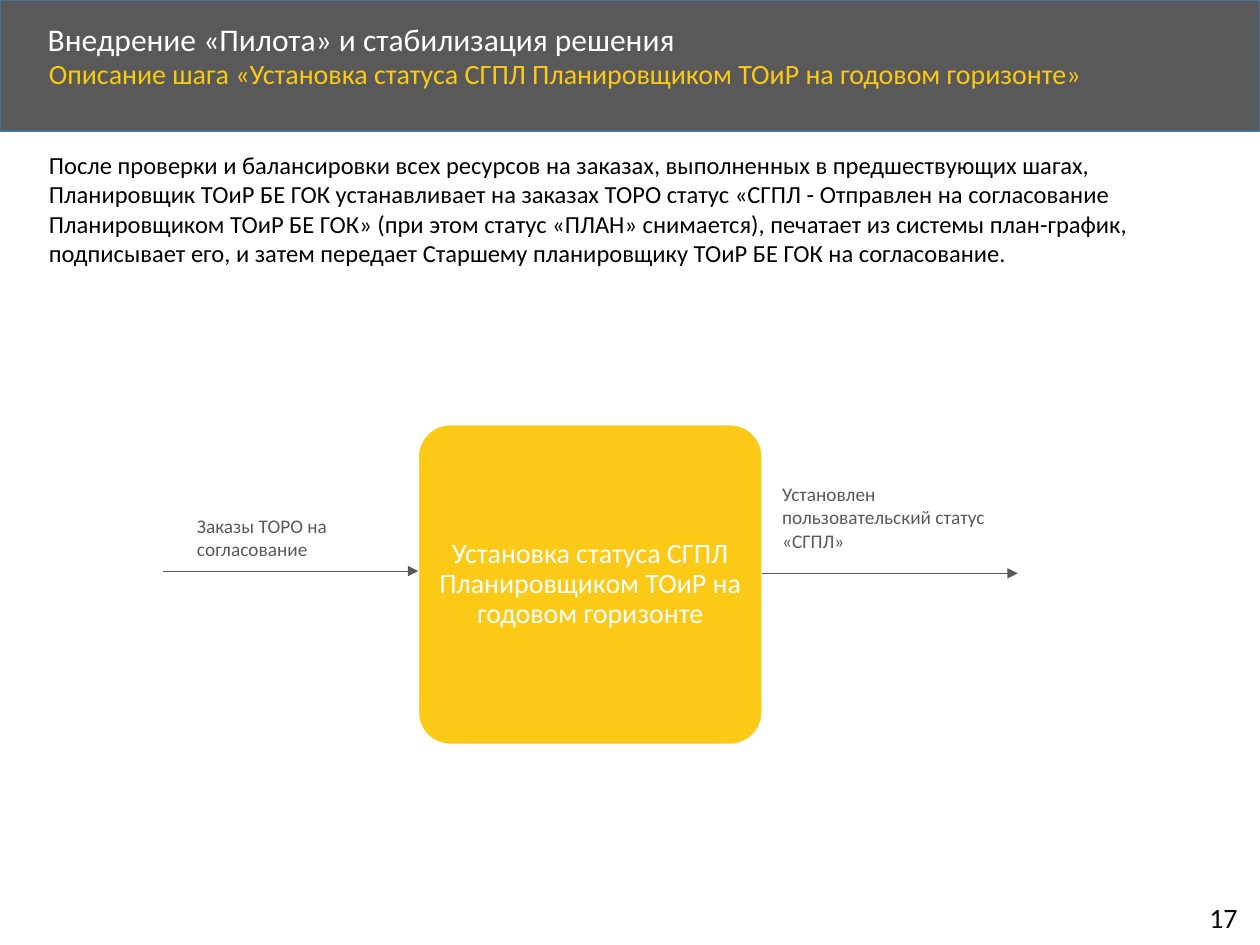
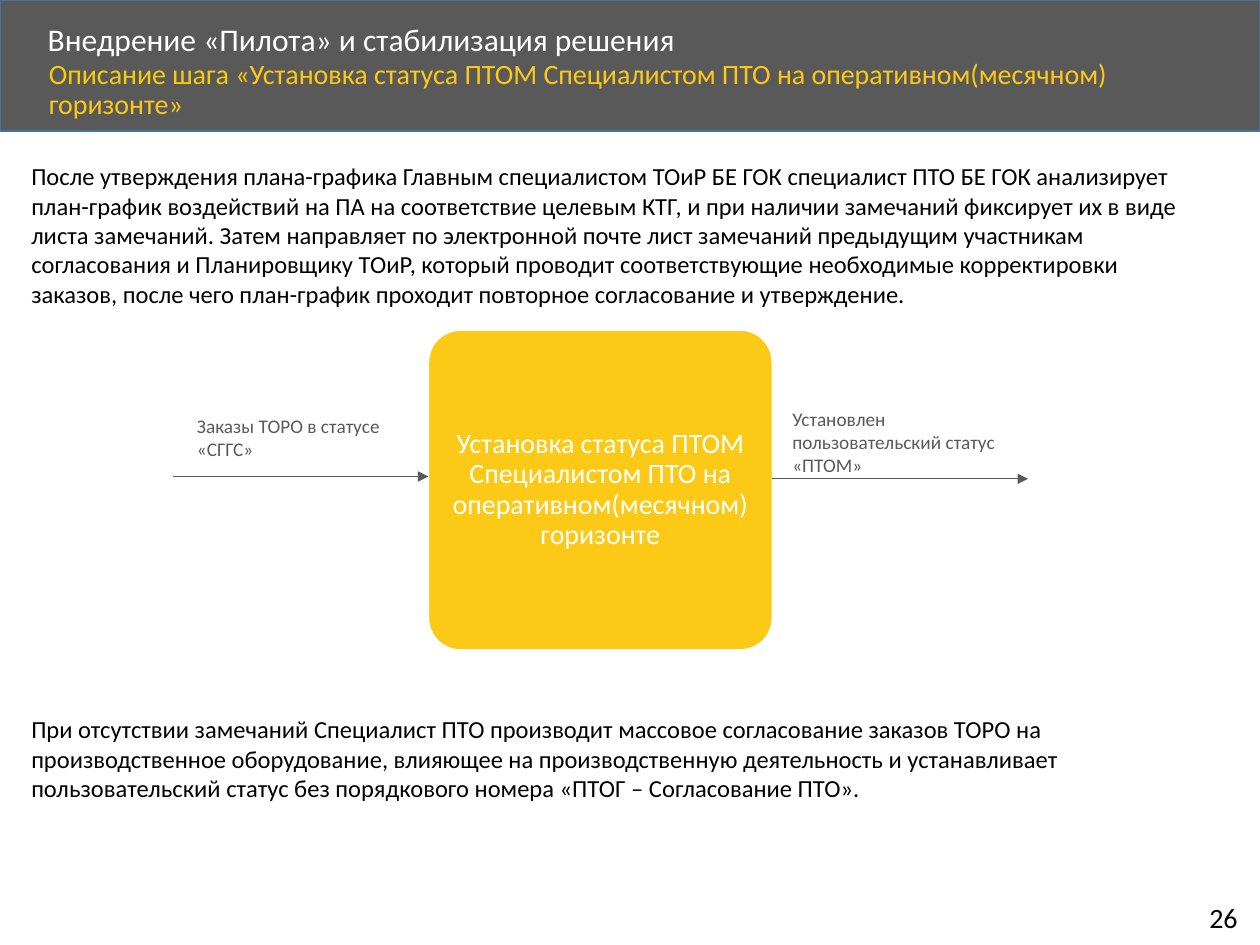
import pptx
import pptx.util
import pptx.dml.color
import pptx.enum.shapes
import pptx.enum.text
import pptx.oxml.ns
from lxml import etree

Pt = pptx.util.Pt
RGBColor = pptx.dml.color.RGBColor
MSO_SHAPE = pptx.enum.shapes.MSO_SHAPE
ANCHOR = pptx.enum.text.MSO_ANCHOR
ALIGN = pptx.enum.text.PP_ALIGN

WHITE = RGBColor(0xFF, 0xFF, 0xFF)
BLACK = RGBColor(0x00, 0x00, 0x00)
GRAY = RGBColor(0x59, 0x59, 0x59)
BLUE = RGBColor(0x43, 0x73, 0x9E)
YELLOW = RGBColor(0xFC, 0xC9, 0x17)
OLIVE = RGBColor(0xF6, 0xCC, 0x0C)

FONT = "Calibri"
HEADING = "Внедрение «Пилота» и стабилизация решения"
STEP_W, STEP_H = 196.6, 182.9
ARROW_W = 146

SLIDES = [
    dict(
        number="17",
        step="Установка статуса СГПЛ Планировщиком ТОиР на годовом горизонте",
        step_at=(239, 242.6),
        source="Заказы ТОРО на согласование", source_top=290.2,
        result="Установлен пользовательский статус «СГПЛ»", result_top=272.2,
        body_left=20.9,
        body=[
            (82.1, 75, "После проверки и балансировки всех ресурсов на заказах, "
             "выполненных в предшествующих шагах, Планировщик ТОиР БЕ ГОК "
             "устанавливает на заказах ТОРО статус «СГПЛ - Отправлен на "
             "согласование Планировщиком ТОиР БЕ ГОК» (при этом статус «ПЛАН» "
             "снимается), печатает из системы план-график, подписывает его, и "
             "затем передает Старшему планировщику ТОиР БЕ ГОК на согласование."),
        ],
    ),
    dict(
        number="26",
        step="Установка статуса ПТОМ Специалистом ПТО на оперативном(месячном) горизонте",
        step_at=(244.8, 188.6),
        source="Заказы ТОРО в статусе «СГГС»", source_top=233.3,
        result="Установлен пользовательский статус «ПТОМ»", result_top=229,
        body_left=10.8,
        body=[
            (88.6, 92, "После утверждения плана-графика Главным специалистом ТОиР "
             "БЕ ГОК специалист ПТО БЕ ГОК анализирует план-график воздействий "
             "на ПА на соответствие целевым КТГ, и при наличии замечаний "
             "фиксирует их в виде листа замечаний. Затем направляет по "
             "электронной почте лист замечаний предыдущим участникам "
             "согласования и Планировщику ТОиР, который проводит "
             "соответствующие необходимые корректировки заказов, после чего "
             "план-график проходит повторное согласование и утверждение."),
            (404.6, 58, "При отсутствии замечаний Специалист ПТО производит "
             "массовое согласование заказов ТОРО на производственное "
             "оборудование, влияющее на производственную деятельность и "
             "устанавливает пользовательский статус без порядкового номера "
             "«ПТОГ – Согласование ПТО»."),
        ],
    ),
]


def write(sp, *texts, size=14, colors=(BLACK,), align=ALIGN.LEFT,
          anchor=ANCHOR.TOP, spacing=1.0, margin=None):
    """Fill a shape with one paragraph; each text is a run with its own colour."""
    tf = sp.text_frame
    tf.word_wrap = True
    tf.vertical_anchor = anchor
    if margin is not None:
        tf.margin_left = tf.margin_right = Pt(margin)
        tf.margin_top = tf.margin_bottom = Pt(margin)
    p = tf.paragraphs[0]
    p.alignment = align
    p.line_spacing = spacing
    for text, color in zip(texts, colors):
        r = p.add_run()
        r.text = text
        r.font.name = FONT
        r.font.size = Pt(size)
        r.font.color.rgb = color


def add_shape(slide, kind, box, fill, line):
    sp = slide.shapes.add_shape(kind, *map(Pt, box))
    sp.shadow.inherit = False
    sp.fill.solid()
    sp.fill.fore_color.rgb = fill
    sp.line.color.rgb = line
    sp.line.width = Pt(1)
    return sp


prs = pptx.Presentation()
prs.slide_width, prs.slide_height = Pt(720), Pt(540)

for data in SLIDES:
    slide = prs.slides.add_slide(prs.slide_layouts[6])
    shapes = slide.shapes

    # Header band, titles and page number
    add_shape(slide, MSO_SHAPE.RECTANGLE, (0, 0, 720, 74.9), GRAY, BLUE)
    write(shapes.add_textbox(Pt(20.2), Pt(10.1), Pt(581), Pt(27.4)), HEADING,
          size=18, colors=[WHITE], anchor=ANCHOR.MIDDLE, spacing=0.9)
    write(shapes.add_textbox(Pt(20.9), Pt(31), Pt(624.2), Pt(32.4)),
          "Описание шага ", f"«{data['step']}»",
          size=16, colors=[OLIVE, YELLOW], spacing=0.9)
    write(shapes.add_textbox(Pt(684), Pt(511.2), Pt(33.1), Pt(26.6)),
          data["number"], size=16)

    # Description
    for top, height, text in data["body"]:
        write(shapes.add_textbox(Pt(data["body_left"]), Pt(top), Pt(681.1), Pt(height)),
              text)

    # Process step
    left, top = data["step_at"]
    right = left + STEP_W
    step = add_shape(slide, MSO_SHAPE.ROUNDED_RECTANGLE,
                     (left, top, STEP_W, STEP_H), YELLOW, WHITE)
    step.adjustments[0] = 0.1
    write(step, data["step"], size=16, colors=[WHITE], align=ALIGN.CENTER,
          anchor=ANCHOR.MIDDLE, spacing=0.9, margin=0.75)

    # Arrows into and out of the step
    for x, y in [(left - ARROW_W, top + 83.7), (right, top + 85)]:
        arrow = shapes.add_connector(pptx.enum.shapes.MSO_CONNECTOR.STRAIGHT,
                                     Pt(x), Pt(y), Pt(x + ARROW_W), Pt(y))
        arrow.line.color.rgb = GRAY
        arrow.line.width = Pt(0.5)
        qn = pptx.oxml.ns.qn
        etree.SubElement(arrow.line._get_or_add_ln(), qn("a:tailEnd"), type="triangle")
        etree.SubElement(arrow._element.spPr, qn("a:effectLst"))

    # Arrow labels
    for x, y, height, text in [(105.5, data["source_top"], 34, data["source"]),
                               (right + 4.3, data["result_top"], 47.5, data["result"])]:
        write(shapes.add_textbox(Pt(x), Pt(y), Pt(144), Pt(height)), text,
              size=11, colors=[GRAY])

prs.save("out.pptx")
